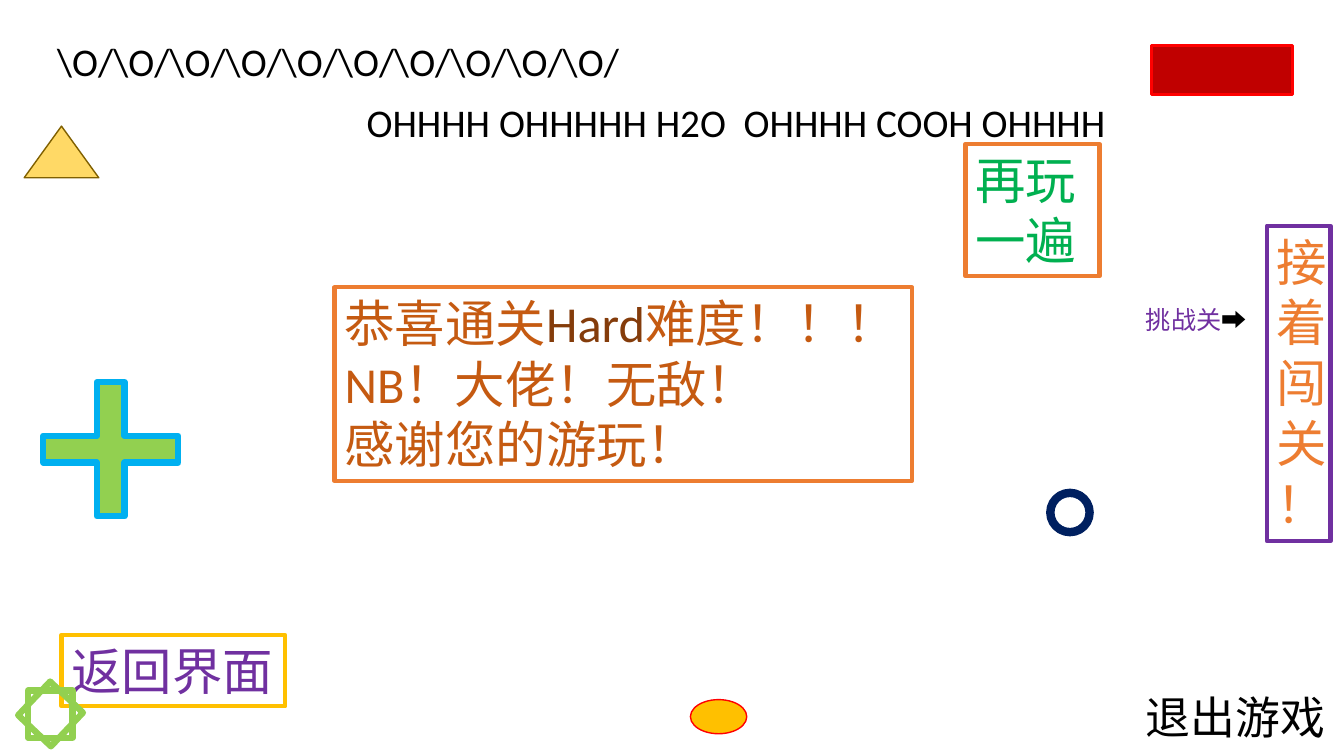
import pptx
import pptx.util
import pptx.dml.color
import pptx.enum.shapes
import pptx.enum.text
from dataclasses import dataclass

Cm, Pt = pptx.util.Cm, pptx.util.Pt
FORM = pptx.enum.shapes.MSO_SHAPE
TEXT = pptx.enum.text


@dataclass(frozen=True)
class Theme:
    font: str = "Calibri"
    big: int = 36
    exit: int = 32
    cheer: int = 28
    hint: int = 18
    white: str = "FFFFFF"
    black: str = "000000"
    orange: str = "ED7D31"
    rust: str = "C55A11"
    brown: str = "843C0B"
    gold: str = "FFC000"
    sand: str = "FFD966"
    olive: str = "806000"
    purple: str = "7030A0"
    green: str = "00B050"
    lime: str = "92D050"
    sky: str = "00B0F0"
    navy: str = "002060"
    red: str = "FF0000"
    dark: str = "C00000"


LOOK = Theme()

# Each paragraph is a list of (text, colour) runs.
PRAISE = [
    [("恭喜通关", LOOK.rust), ("Hard", LOOK.brown), ("难度！！！", LOOK.rust)],
    [("NB！大佬！无敌！", LOOK.rust)],
    [("感谢您的游玩！", LOOK.rust)],
]
PRAISE_AT = (8.43, 7.24, 14.55, 4.88)

# Place, paragraphs, size, border colour, wrap
LABELS = [
    ((1.55, 16, 5.64, 1.8), [[("返回界面", LOOK.purple)]], LOOK.big, LOOK.gold, False),
    ((24.33, 3.63, 3.38, 3.33), [[("再玩一遍", LOOK.green)]], LOOK.big, LOOK.orange, True),
    ((31.93, 5.69, 1.6, 7.95), [[("接着闯关！", LOOK.orange)]], LOOK.big, LOOK.purple, True),
    ((28.63, 7.54, 4.09, 1.02), [[("挑战关", LOOK.purple), ("➡️", LOOK.black)]],
     LOOK.hint, None, True),
    ((1.19, 0.81, 16.43, 1.45), [[("\\O/" * 10, LOOK.black)]], LOOK.cheer, None, True),
    ((8.99, 2.36, 19.66, 1.45), [[("OHHHH OHHHHH H2O  OHHHH COOH OHHHH", LOOK.black)]],
     LOOK.cheer, None, True),
    ((28.63, 17.25, 5.08, 1.63), [[("退出游戏", LOOK.black)]], LOOK.exit, None, False),
]

# Form, place, fill, line colour, line width, turn
SHAPES = [
    (FORM.OVAL, (26.47, 12.42, 0.99, 0.99), None, LOOK.navy, 6, 0),
    (FORM.RECTANGLE, (29.01, 1.14, 3.56, 1.24), LOOK.dark, LOOK.red, 2.25, 0),
    (FORM.OVAL, (17.4, 17.63, 1.42, 0.86), LOOK.gold, LOOK.red, 1, 0),
    (FORM.ISOSCELES_TRIANGLE, (0.61, 3.18, 1.88, 1.3), LOOK.sand, LOOK.olive, 1, 0),
    (FORM.CROSS, (1.09, 9.63, 3.4, 3.38), LOOK.lime, LOOK.sky, 4.5, 0),
    (FORM.RECTANGLE, (0.69, 17.42, 1.17, 1.14), None, LOOK.lime, 4.5, 313.5),
    (FORM.RECTANGLE, (0.71, 17.4, 1.12, 1.19), None, LOOK.lime, 4.5, 0),
]
CROSS_CUT = 0.4


def tint(code):
    return pptx.dml.color.RGBColor.from_string(code)


def paint(shape, fill, line, width):
    if fill:
        shape.fill.solid()
        shape.fill.fore_color.rgb = tint(fill)
    else:
        shape.fill.background()
    shape.line.color.rgb = tint(line)
    shape.line.width = Pt(width)


def write(shape, lines, size, wrap):
    frame = shape.text_frame
    frame.word_wrap = wrap
    frame.auto_size = TEXT.MSO_AUTO_SIZE.SHAPE_TO_FIT_TEXT
    frame.vertical_anchor = TEXT.MSO_ANCHOR.TOP
    for i, runs in enumerate(lines):
        para = frame.add_paragraph() if i else frame.paragraphs[0]
        para.alignment = TEXT.PP_ALIGN.LEFT
        para.font.name = LOOK.font
        para.font.size = Pt(size)
        for text, color in runs:
            run = para.add_run()
            run.text = text
            if len(runs) > 1:
                run.font.color.rgb = tint(color)
            else:
                para.font.color.rgb = tint(color)


def label(slide, place, lines, size, edge, wrap):
    box = slide.shapes.add_textbox(*map(Cm, place))
    if edge:
        paint(box, LOOK.white, edge, 3)
    write(box, lines, size, wrap)


def draw(slide, form, place, fill, line, width, turn):
    shape = slide.shapes.add_shape(form, *map(Cm, place))
    shape.shadow.inherit = False
    shape.rotation = turn
    if form == FORM.CROSS:
        shape.adjustments[0] = CROSS_CUT
    paint(shape, fill, line, width)


def main():
    deck = pptx.Presentation()
    deck.slide_width, deck.slide_height = Cm(33.87), Cm(19.05)
    slide = deck.slides.add_slide(deck.slide_layouts[5])
    title = slide.shapes.title
    title.left, title.top, title.width, title.height = map(Cm, PRAISE_AT)
    paint(title, LOOK.white, LOOK.orange, 3)
    write(title, PRAISE, LOOK.big, False)
    *notes, leave = LABELS
    for note in notes:
        label(slide, *note)
    for shape in SHAPES:
        draw(slide, *shape)
    label(slide, *leave)
    deck.save("out.pptx")


if __name__ == "__main__":
    main()
